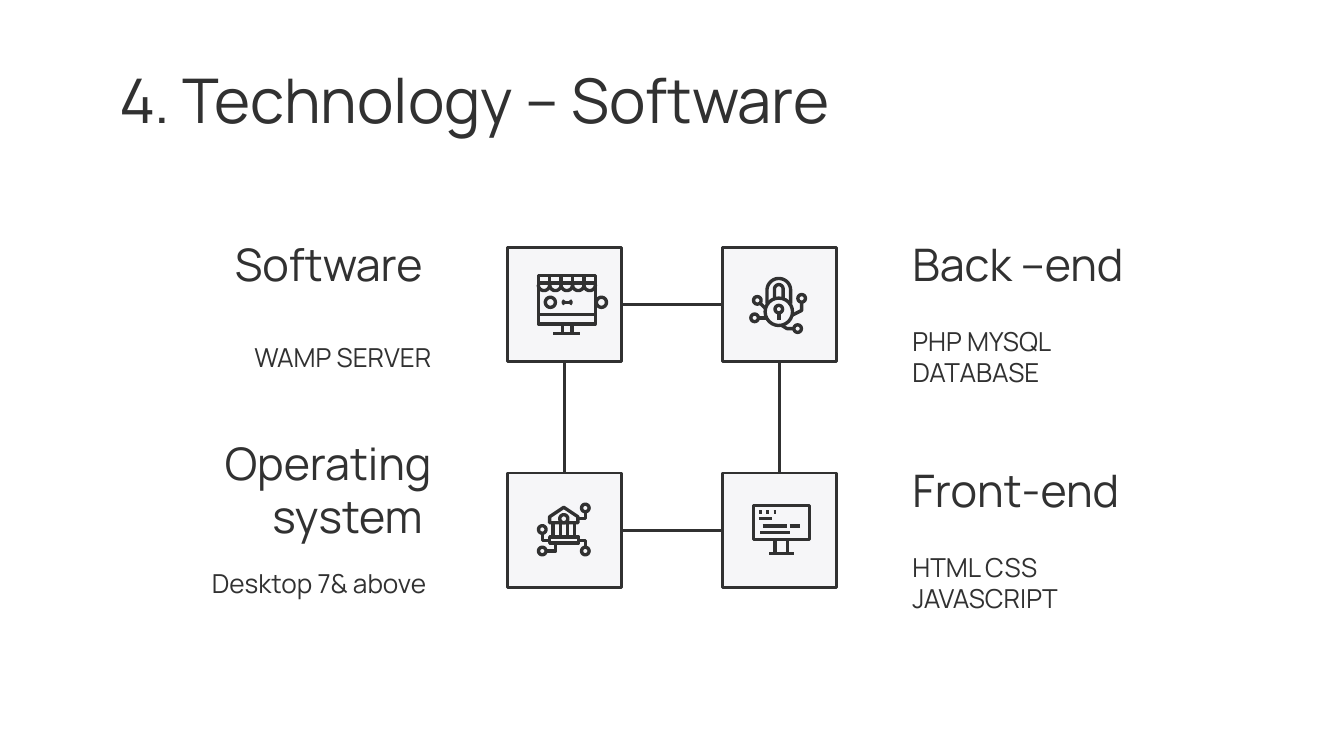
"""Build the software technology slide: four linked icon tiles with labels."""
from dataclasses import dataclass
from math import cos, pi, sin

from lxml.etree import SubElement
from pptx import Presentation
from pptx.dml.color import RGBColor
from pptx.enum.shapes import MSO_CONNECTOR as Connector, MSO_SHAPE as Shape
from pptx.enum.text import MSO_ANCHOR as Anchor, MSO_AUTO_SIZE as AutoSize, PP_ALIGN as Align
from pptx.oxml.ns import qn
from pptx.util import Inches, Pt

Path = list[tuple[float, float]]


@dataclass(frozen=True)
class Theme:
    ink: RGBColor = RGBColor(0x31, 0x31, 0x31)
    tile: RGBColor = RGBColor(0xF6, 0xF6, 0xF8)
    font: str = "Manrope"
    title: float = 33
    heading: float = 24
    body: float = 14
    line: float = 1.5
    icon: float = 1.8


@dataclass(frozen=True)
class Grid:
    width: float = 10
    height: float = 10 * 9 / 16
    top: float = 1.84
    col_step: float = 1.6
    row_step: float = 1.68
    tile: float = 0.85
    label_lefts: tuple[float, float] = (1.16, 6.69)
    label_width: float = 2.15

    def corner(self, col: int, row: int) -> tuple[float, float]:
        left = (self.width - self.col_step - self.tile) / 2
        return left + col * self.col_step, self.top + row * self.row_step


@dataclass(frozen=True)
class Topic:
    col: int
    row: int
    heading: str
    body: str
    icon: list[Path]


THEME, GRID = Theme(), Grid()


def arc(x: float, y: float, radius: float, start: float, end: float) -> Path:
    angles = [start + (end - start) * i / 24 for i in range(25)]
    return [(x + radius * cos(a), y + radius * sin(a)) for a in angles]


def ring(x: float, y: float, radius: float = 2.8) -> Path:
    return arc(x, y, radius, 0, 2 * pi)


def box(left: float, top: float, right: float, bottom: float) -> Path:
    return [(left, top), (right, top), (right, bottom), (left, bottom), (left, top)]


def upright(x: float, top: float, bottom: float) -> Path:
    return [(x, top), (x, bottom)]


def bar(left: float, right: float, y: float) -> Path:
    return [(left, y), (right, y)]


def arch(x: float, y: float, radius: float, foot: float) -> Path:
    return [(x - radius, foot), *arc(x, y, radius, pi, 2 * pi), (x + radius, foot)]


SHOP = [
    box(23, 21, 65.5, 57), bar(23, 65.5, 26.5), bar(23, 65.5, 50),
    *[upright(23 + 8.5 * i, 21, 28) for i in range(1, 5)],
    *[arc(27.25 + 8.5 * i, 28, 4.25, pi, 0) for i in range(5)],
    ring(32, 41, 3.75), ring(70, 41, 3.75), bar(41.5, 47.5, 41),
    [(42.5, 39.5), (41.5, 41), (42.5, 42.5)],
    [(46.5, 39.5), (47.5, 41), (46.5, 42.5)],
    upright(41, 57, 64), upright(48, 57, 64), bar(34, 54, 64),
]
LOCK = [
    ring(42, 48, 10.2), arch(42, 32, 8.8, 42), arch(42, 31, 3.2, 38),
    ring(42, 46), upright(42, 49, 54),
    ring(59, 38), ring(26, 39.5), ring(24, 52.5), ring(56, 60.5),
    [(28, 41.5), (32, 45.5)], bar(27, 33, 52.5),
    [(53, 60.5), (48, 60.5), (44, 58)], [(59, 41), (59, 47), (52, 50.5)],
]
BANK = [
    [(31.5, 37), (31.5, 32.5), (42, 25.5), (52.5, 32.5), (52.5, 37), (31.5, 37)],
    ring(42, 34, 3), *[upright(34 + 5.4 * i, 38, 46) for i in range(4)],
    box(31.5, 47.5, 53, 52),
    ring(58, 26), ring(26, 42), ring(26, 58), ring(58, 58),
    [(58, 29), (58, 34), (52.5, 34)], [(26, 45), (26, 50), (31.5, 50)],
    [(29, 58), (36, 58), (36, 52)], [(58, 55), (58, 50), (53, 50)],
]
SCREEN = [
    box(23, 24, 65, 49.5), upright(39, 51, 60), upright(48.5, 51, 60), bar(35, 53, 60),
    *[bar(27.5 + 5.3 * i, 29.5 + 5.3 * i, 29) for i in range(3)],
    bar(27, 37, 34), bar(30, 48, 39.5), bar(50, 58, 39.5), bar(28, 50, 44.5),
]
TOPICS = [
    Topic(0, 0, "Software ", "WAMP SERVER", SHOP),
    Topic(1, 0, "Back –end", "PHP MYSQL DATABASE", LOCK),
    Topic(0, 1, "Operating system ", "Desktop 7& above ", BANK),
    Topic(1, 1, "Front-end", "HTML CSS JAVASCRIPT", SCREEN),
]


def write(sp, text: str, size: float, align: Align) -> None:
    tf = sp.text_frame
    tf.text = text
    tf.word_wrap = True
    tf.auto_size = AutoSize.NONE
    tf.vertical_anchor = Anchor.MIDDLE
    tf.margin_left = tf.margin_right = tf.margin_top = tf.margin_bottom = Inches(0.1)
    p = tf.paragraphs[0]
    p.alignment = align
    font = p.runs[0].font
    font.name, font.size = THEME.font, Pt(size)
    font.color.rgb = THEME.ink


def draw_title(s, text: str) -> None:
    title = s.shapes.title
    title.left, title.top, title.width, title.height = map(Inches, (0.79, 0.42, 6.94, 0.63))
    write(title, text, THEME.title, Align.LEFT)
    title.text_frame.paragraphs[0].runs[0]._r.get_or_add_rPr().set("kern", "0")


def draw_tile(s, topic: Topic):
    x, y = GRID.corner(topic.col, topic.row)
    sp = s.shapes.add_shape(Shape.RECTANGLE, Inches(x), Inches(y),
                            Inches(GRID.tile), Inches(GRID.tile))
    sp.shadow.inherit = False
    sp.fill.solid()
    sp.fill.fore_color.rgb = THEME.tile
    sp.line.color.rgb, sp.line.width = THEME.ink, Pt(THEME.line)
    return sp


def draw_labels(s, topic: Topic) -> None:
    top = GRID.corner(topic.col, topic.row)[1]
    align = (Align.RIGHT, Align.LEFT)[topic.col]
    for text, offset, height, size in ((topic.heading, -0.25, 0.74, THEME.heading),
                                       (topic.body, 0.55, 0.53, THEME.body)):
        sp = s.shapes.add_textbox(Inches(GRID.label_lefts[topic.col]), Inches(top + offset),
                                  Inches(GRID.label_width), Inches(height))
        write(sp, text, size, align)


def draw_icon(s, topic: Topic) -> None:
    x, y = GRID.corner(topic.col, topic.row)
    paths = [[(px * 100, py * 100) for px, py in path] for path in topic.icon]
    builder = s.shapes.build_freeform(*paths[0][0], scale=Inches(0.01) / 100)
    for i, path in enumerate(paths):
        if i:
            builder.move_to(*path[0])
        builder.add_line_segments(path[1:], close=False)
    sp = builder.convert_to_shape(Inches(x), Inches(y))
    sp.shadow.inherit = False
    sp.fill.background()
    sp.line.color.rgb, sp.line.width = THEME.ink, Pt(THEME.icon)


def link(s, start, start_site: int, end, end_site: int) -> None:
    line = s.shapes.add_connector(Connector.STRAIGHT, 0, 0, 0, 0)
    line.begin_connect(start, start_site)
    line.end_connect(end, end_site)
    line.line.color.rgb, line.line.width = THEME.ink, Pt(THEME.line)
    SubElement(line._element.spPr, qn("a:effectLst"))


def main() -> None:
    prs = Presentation()
    prs.slide_width, prs.slide_height = Inches(GRID.width), Inches(GRID.height)
    s = prs.slides.add_slide(prs.slide_layouts[5])
    draw_title(s, "4. Technology – Software")
    shop, lock, bank, screen = [draw_tile(s, topic) for topic in TOPICS]
    top, left, bottom, right = range(4)
    link(s, shop, right, lock, left)
    link(s, lock, bottom, screen, top)
    link(s, screen, left, bank, right)
    link(s, bank, top, shop, bottom)
    for topic in TOPICS:
        draw_labels(s, topic)
        draw_icon(s, topic)
    prs.save("out.pptx")


if __name__ == "__main__":
    main()
